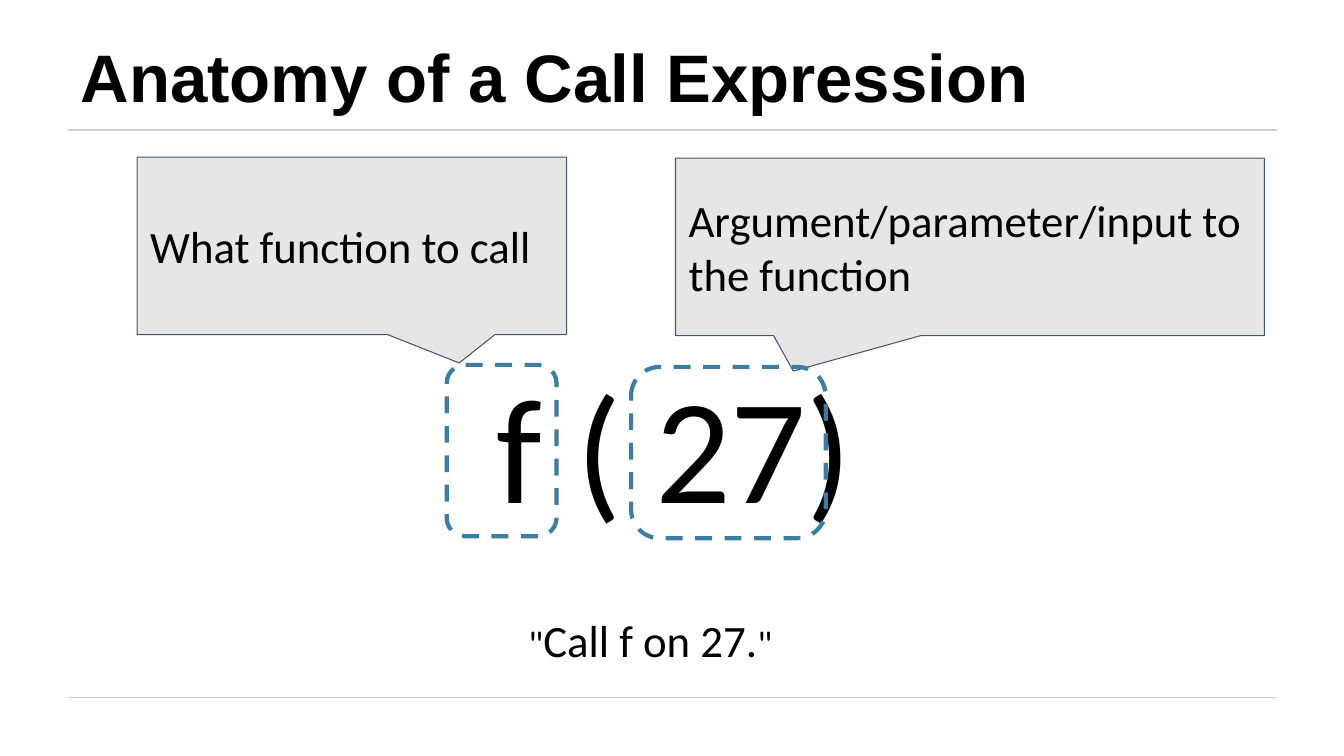
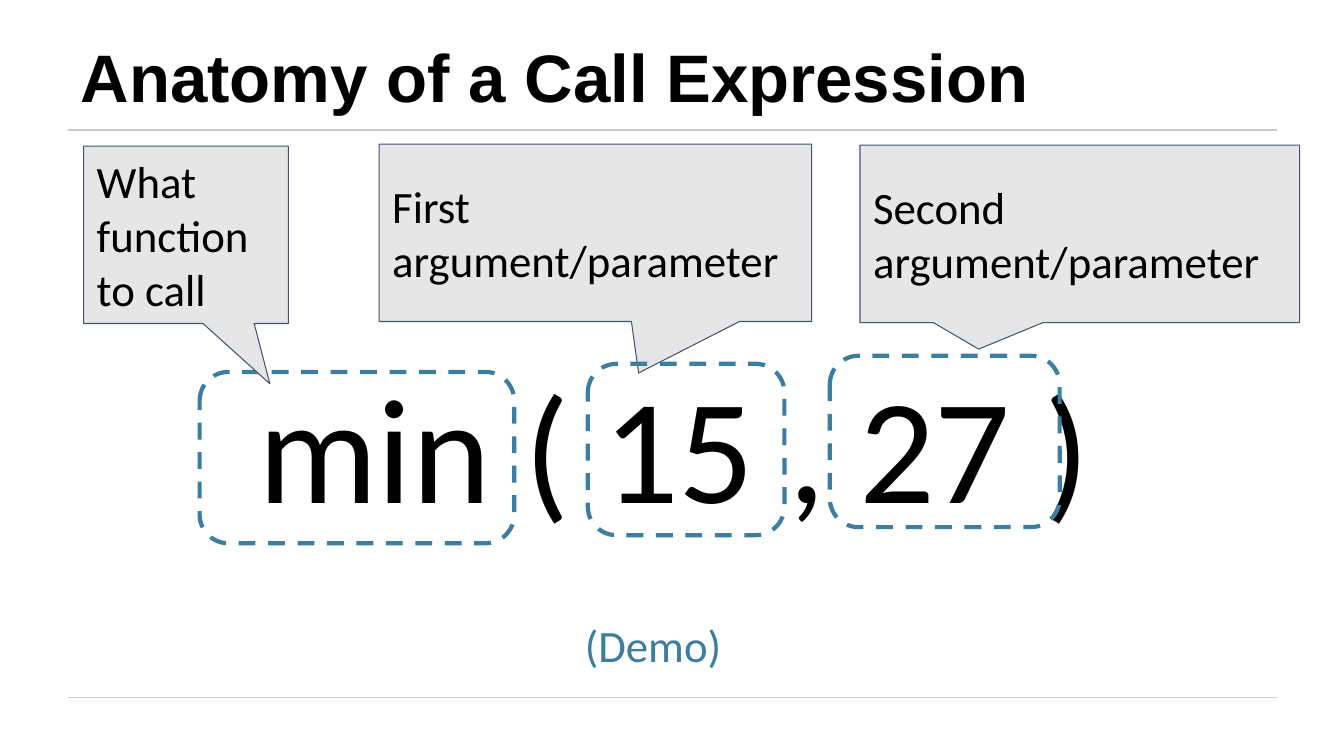
"""Build two slides on the anatomy of a call expression."""
from lxml import etree
from pptx import Presentation
from pptx.dml.color import RGBColor
from pptx.enum.dml import MSO_LINE
from pptx.enum.shapes import MSO_CONNECTOR, MSO_SHAPE
from pptx.enum.text import MSO_ANCHOR as ANCHOR, PP_ALIGN as ALIGN
from pptx.oxml.ns import qn
from pptx.util import Inches, Pt

BLACK = RGBColor(0x00, 0x00, 0x00)
BLUE = RGBColor(0x3B, 0x7E, 0xA1)
SLATE = RGBColor(0x44, 0x54, 0x6A)
PALE = RGBColor(0xE7, 0xE6, 0xE6)
RULE = RGBColor(0xCC, 0xCC, 0xCC)

TITLE = "Anatomy of a Call Expression"
BODY_SIZE = 32
EXPRESSION_SIZE = 106.7
CALLOUT_HEIGHT = 1.76
OUTLINE_HEIGHT = 1.7


def set_frame(shape, anchor=ANCHOR.TOP, align=ALIGN.LEFT):
    tf = shape.text_frame
    tf.word_wrap = True
    tf.vertical_anchor = anchor
    tf.margin_left = tf.margin_right = Inches(0.13)
    tf.margin_top = tf.margin_bottom = Inches(0.13)
    p = tf.paragraphs[0]
    p.alignment = align
    return p


def add_run(p, text, size=BODY_SIZE, color=BLACK, font="Calibri", bold=False):
    r = p.add_run()
    r.text = text
    r.font.size = Pt(size)
    r.font.name = font
    r.font.bold = bold
    r.font.color.rgb = color


def add_text(s, box, anchor=ANCHOR.TOP, align=ALIGN.LEFT):
    sp = s.shapes.add_textbox(*map(Inches, box))
    return set_frame(sp, anchor, align)


def add_rule(s, y):
    line = s.shapes.add_connector(
        MSO_CONNECTOR.STRAIGHT, Inches(0.67), Inches(y), Inches(12.67), Inches(y))
    line.line.color.rgb = RULE
    line.line.width = Pt(0.75)
    etree.SubElement(line._element.spPr, qn("a:effectLst"))


def add_shape(s, kind, box, adjustments, color, width):
    sp = s.shapes.add_shape(kind, *map(Inches, box))
    sp.shadow.inherit = False
    for i, value in enumerate(adjustments):
        sp.adjustments[i] = value
    sp.line.color.rgb = color
    sp.line.width = Pt(width)
    return sp


def add_outline(s, left, top, width):
    sp = add_shape(s, MSO_SHAPE.ROUNDED_RECTANGLE,
                   (left, top, width, OUTLINE_HEIGHT), [0.167], BLUE, 3)
    sp.fill.background()
    sp.line.dash_style = MSO_LINE.DASH


def add_callout(s, left, top, width, tip, text):
    sp = add_shape(s, MSO_SHAPE.ROUNDED_RECTANGULAR_CALLOUT,
                   (left, top, width, CALLOUT_HEIGHT), [*tip, 0], SLATE, 0.75)
    sp.fill.solid()
    sp.fill.fore_color.rgb = PALE
    add_run(set_frame(sp, ANCHOR.MIDDLE), text)


def add_slide(prs, expression):
    s = prs.slides.add_slide(prs.slide_layouts[6])
    for y in (1.29, 6.92):
        add_rule(s, y)
    p = add_text(s, (0.67, 0.3, 9.78, 0.99), ANCHOR.BOTTOM)
    p.line_spacing = 0.9
    add_run(p, TITLE, 48, font="Arial", bold=True)
    p = add_text(s, (0.62, 3.38, 12.14, 2.82), align=ALIGN.CENTER)
    add_run(p, expression, EXPRESSION_SIZE)
    return s


def build_one_argument(prs):
    s = add_slide(prs, "f ( 27)")
    add_outline(s, 4.43, 3.62, 1.09)
    add_callout(s, 1.36, 1.56, 4.26, (0.25, 0.66), "What function to call")
    add_callout(s, 6.7, 1.57, 5.84, (-0.3, 0.7),
                "Argument/parameter/input to the function")
    add_outline(s, 6.26, 3.64, 1.93)
    p = add_text(s, (5.11, 5.95, 3.16, 0.81))
    for text, size in (('"', 26.7), ("Call f on 27.", BODY_SIZE), ('"', 26.7)):
        add_run(p, text, size)


def build_two_arguments(prs):
    s = add_slide(prs, "min ( 15 , 27 )")
    add_outline(s, 1.98, 3.69, 3.12)
    add_callout(s, 0.83, 1.45, 2.03, (0.41, 0.84), "What function to call")
    add_callout(s, 3.76, 1.43, 4.29, (0.1, 0.79), "First argument/parameter")
    add_outline(s, 5.83, 3.61, 1.95)
    add_callout(s, 8.53, 1.44, 4.36, (-0.23, 0.65), "Second argument/parameter")
    add_outline(s, 8.23, 3.53, 2.28)
    add_run(add_text(s, (5.67, 6, 2, 0.8)), "(Demo)", color=BLUE)


def main():
    prs = Presentation()
    prs.slide_width = Inches(13.33)
    prs.slide_height = Inches(7.5)
    build_one_argument(prs)
    build_two_arguments(prs)
    prs.save("out.pptx")


if __name__ == "__main__":
    main()
